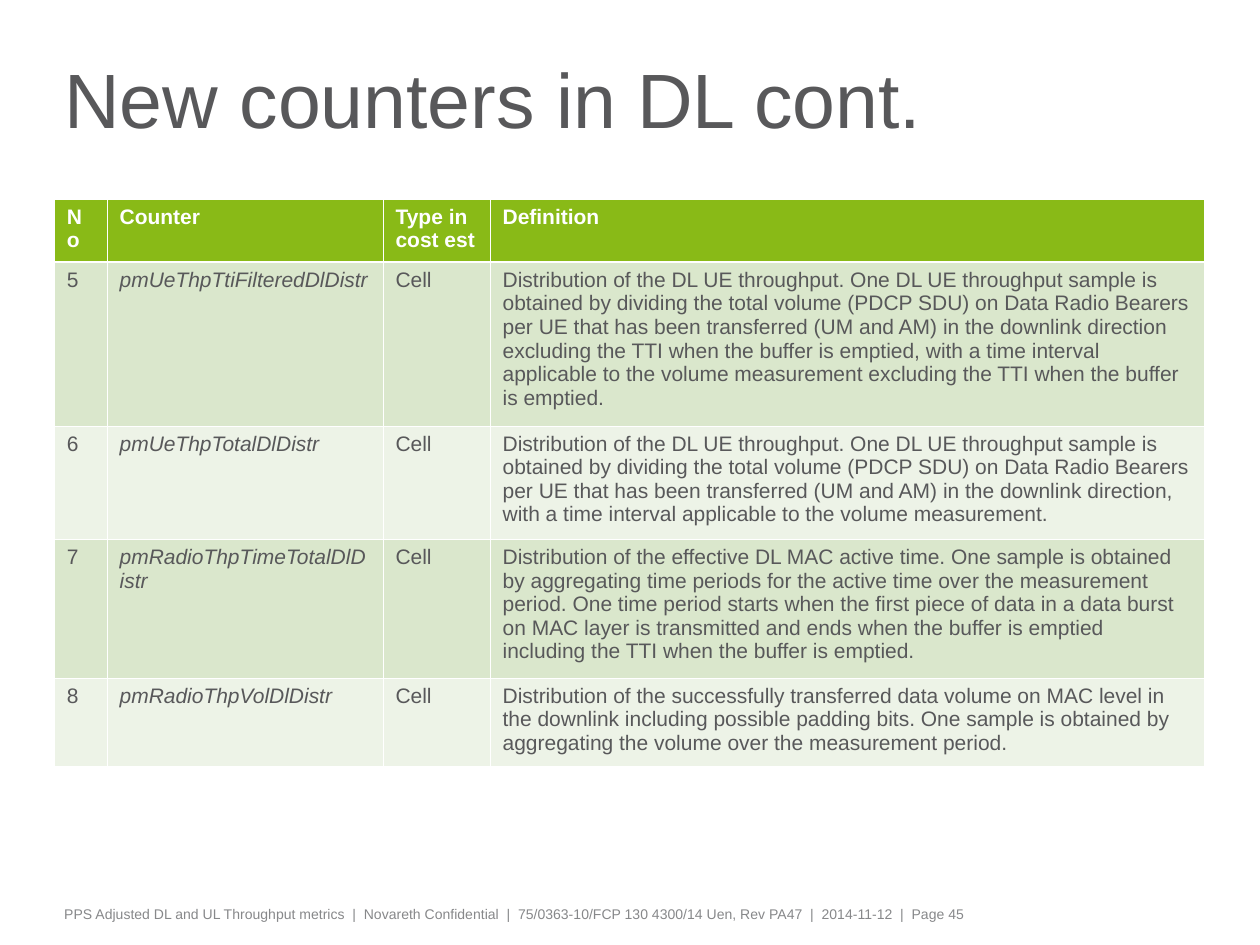
"""Build the slide that tables the new downlink counters."""
from lxml import etree
from pptx import Presentation
from pptx import util as u
from pptx.dml.color import RGBColor
from pptx.enum import text
from pptx.oxml import ns

TITLE = "New counters in DL cont."
FOOT = ("PPS Adjusted DL and UL Throughput metrics  |  Novareth Confidential  |  "
        "75/0363-10/FCP 130 4300/14 Uen, Rev PA47  |  2014-11-12  |  Page 45")
SAMPLE = ("Distribution of the DL UE throughput. One DL UE throughput sample is obtained "
          "by dividing the total volume (PDCP SDU) on Data Radio Bearers per UE that has "
          "been transferred (UM and AM) in the downlink direction")
ROWS = [
    ("No", "Counter", "Type in cost est", "Definition"),
    ("5", "pmUeThpTtiFilteredDlDistr", "Cell",
     SAMPLE + " excluding the TTI when the buffer is emptied, with a time interval "
     "applicable to the volume measurement excluding the TTI when the buffer is emptied."),
    ("6", "pmUeThpTotalDlDistr", "Cell",
     SAMPLE + ", with a time interval applicable to the volume measurement."),
    ("7", "pmRadioThpTimeTotalDlDistr", "Cell",
     "Distribution of the effective DL MAC active time. One sample is obtained by "
     "aggregating time periods for the active time over the measurement period. One time "
     "period starts when the first piece of data in a data burst on MAC layer is "
     "transmitted and ends when the buffer is emptied including the TTI when the buffer "
     "is emptied."),
    ("8", "pmRadioThpVolDlDistr", "Cell",
     "Distribution of the successfully transferred data volume on MAC level in the "
     "downlink including possible padding bits. One sample is obtained by aggregating "
     "the volume over the measurement period."),
]
WIDTHS = [0.42, 2.19, 0.85, 5.67]
HEIGHTS = [0.5, 1.3, 0.9, 1.1, 0.7]
LEFT = 0.43
GREEN, BANDS = "89BA17", ("EDF3E7", "DAE7CC")
WHITE, GREY, PALE = "FFFFFF", "58585A", "87888A"


def paint(font, size, color, bold=False, italic=False):
    """Style a font."""
    font.name, font.size = "Arial", u.Pt(size)
    font.bold, font.italic = bold, italic
    font.color.rgb = RGBColor.from_string(color)


def place(shape, left, top, width, height):
    """Set the position and size of a shape."""
    shape.left, shape.top = u.Inches(left), u.Inches(top)
    shape.width, shape.height = u.Inches(width), u.Inches(height)


def write(shape, words, size, color, inset, anchor):
    """Put one left-aligned paragraph in a shape and return it."""
    frame = shape.text_frame
    frame.text = words
    frame.word_wrap, frame.auto_size = True, text.MSO_AUTO_SIZE.NONE
    frame.vertical_anchor = anchor
    frame.margin_left = frame.margin_right = u.Inches(0.08)
    frame.margin_top = frame.margin_bottom = u.Inches(inset)
    para = frame.paragraphs[0]
    para.alignment = text.PP_ALIGN.LEFT
    paint(para.runs[0].font, size, color)
    return para


def edge(cell, side, width):
    """Draw one white border of a cell."""
    line = etree.SubElement(cell._tc.get_or_add_tcPr(), ns.qn("a:ln" + side),
                            w=str(u.Pt(width)))
    fill = etree.SubElement(line, ns.qn("a:solidFill"))
    etree.SubElement(fill, ns.qn("a:srgbClr"), val=WHITE)


def fill_table(table):
    """Size the grid, then write and style every cell."""
    table.first_row = table.horz_banding = False
    for col, width in zip(table.columns, WIDTHS):
        col.width = u.Inches(width)
    for r, (row, height) in enumerate(zip(ROWS, HEIGHTS)):
        table.rows[r].height = u.Inches(height)
        head = r == 0
        for c, words in enumerate(row):
            cell = table.cell(r, c)
            cell.text = words
            paint(cell.text_frame.paragraphs[0].runs[0].font, 12,
                  WHITE if head else GREY, head, c == 1 and not head)
            for side in "LRTB":
                thick = (r, side) in ((0, "B"), (1, "T"))
                edge(cell, side, 1.47 if thick else 0.45)
            cell.fill.solid()
            cell.fill.fore_color.rgb = RGBColor.from_string(GREEN if head else BANDS[r % 2])


def main():
    """Build and save the slide."""
    deck = Presentation()
    deck.slide_width, deck.slide_height = u.Inches(10), u.Inches(7.5)
    slide = deck.slides.add_slide(deck.slide_layouts[5])

    title = slide.shapes.title
    place(title, LEFT, 0.26, 8.2, 1.19)
    write(title, TITLE, 44, GREY, 0, text.MSO_ANCHOR.MIDDLE).line_spacing = 0.75

    foot = slide.shapes.add_textbox(0, 0, 0, 0)
    place(foot, LEFT, 7.14, 8.09, 0.24)
    write(foot, FOOT, 8, PALE, 0.05, text.MSO_ANCHOR.TOP)

    grid = slide.shapes.add_table(len(ROWS), len(WIDTHS), u.Inches(LEFT), u.Inches(1.58),
                                  u.Inches(sum(WIDTHS)), u.Inches(sum(HEIGHTS)))
    fill_table(grid.table)
    deck.save("out.pptx")


if __name__ == "__main__":
    main()
